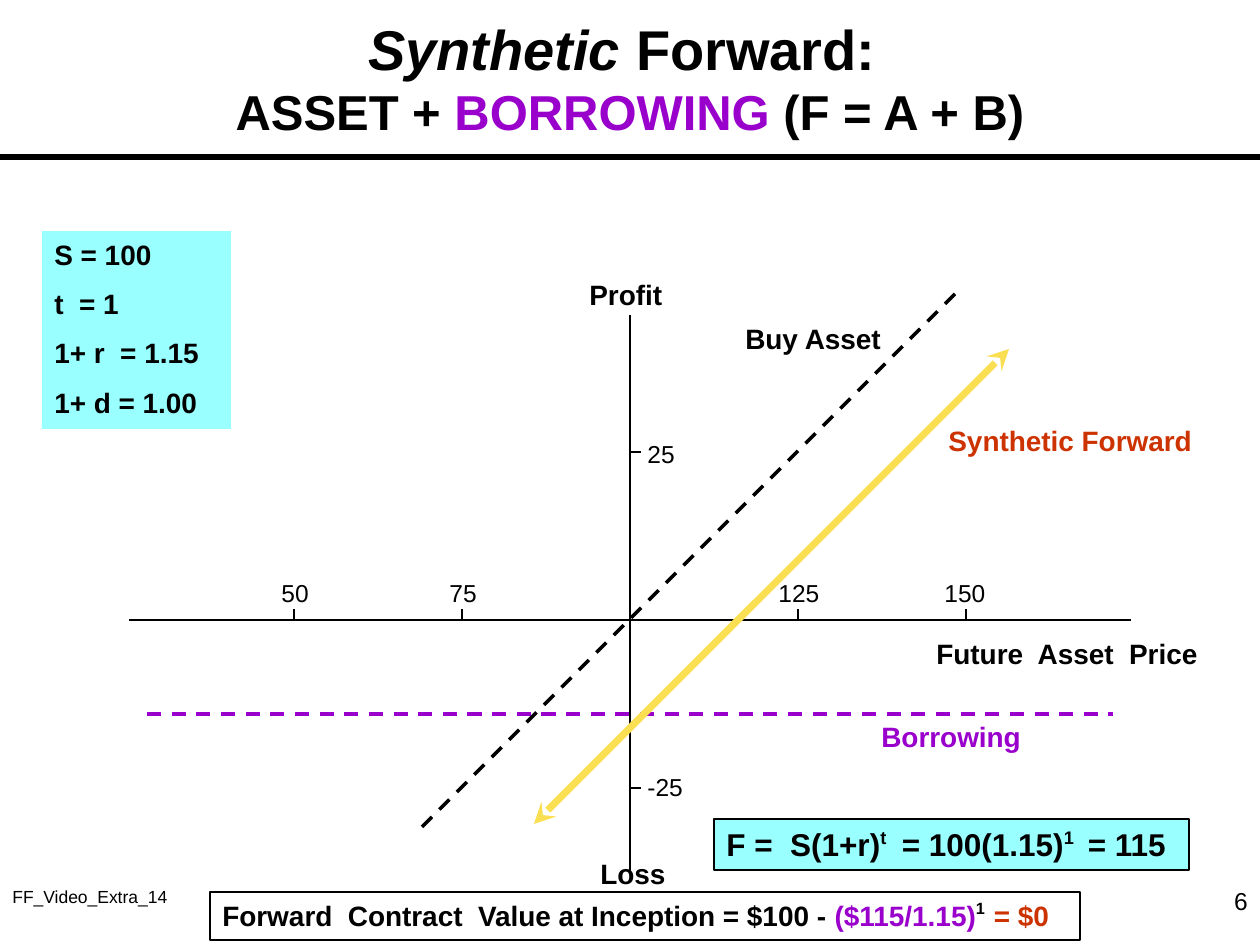
"""Build the synthetic forward payoff slide: asset plus borrowing."""
from lxml import etree
from pptx import Presentation
from pptx.dml.color import RGBColor
from pptx.enum.dml import MSO_LINE
from pptx.enum.shapes import MSO_CONNECTOR, MSO_SHAPE
from pptx.enum.text import MSO_ANCHOR, PP_ALIGN
from pptx.oxml.ns import qn
from pptx.util import Pt

PX = 914400 / 126
BLACK = RGBColor(0x00, 0x00, 0x00)
WHITE = RGBColor(0xFF, 0xFF, 0xFF)
PURPLE = RGBColor(0x99, 0x00, 0xCC)
RED = RGBColor(0xCC, 0x33, 0x00)
YELLOW = RGBColor(0xFB, 0xDF, 0x53)
CYAN = RGBColor(0x99, 0xFF, 0xFF)
DASH = MSO_LINE.DASH
STRAIGHT = MSO_CONNECTOR.STRAIGHT
RECTANGLE = MSO_SHAPE.RECTANGLE
LEFT, CENTER, RIGHT = PP_ALIGN.LEFT, PP_ALIGN.CENTER, PP_ALIGN.RIGHT
TOP, MIDDLE = MSO_ANCHOR.TOP, MSO_ANCHOR.MIDDLE

prs = Presentation()
prs.slide_width, prs.slide_height = round(1260 * PX), round(945 * PX)
slide = prs.slides.add_slide(prs.slide_layouts[6])
shapes = slide.shapes


def add_text(paragraphs, box, size=16, bold=True, color=BLACK, align=LEFT,
             anchor=TOP, wrap=True, gap=0, fill=None, outline=None):
    """Place text; each paragraph is a string or a list of (text, format) runs."""
    place = [round(v * PX) for v in box]
    if fill is None:
        holder = shapes.add_textbox(*place)
    else:
        holder = shapes.add_shape(RECTANGLE, *place)
        holder.shadow.inherit = False
        holder.fill.solid()
        holder.fill.fore_color.rgb = fill
        if outline is None:
            holder.line.fill.background()
        else:
            holder.line.color.rgb = outline
            holder.line.width = Pt(0.75)
    frame = holder.text_frame
    frame.word_wrap = wrap
    frame.vertical_anchor = anchor
    for index, content in enumerate(paragraphs):
        paragraph = frame.paragraphs[0] if index == 0 else frame.add_paragraph()
        paragraph.alignment = align
        if index and gap:
            paragraph.space_before = Pt(gap)
        runs = [(content, {})] if isinstance(content, str) else content
        for words, style in runs:
            run = paragraph.add_run()
            run.text = words
            run.font.name = "Arial"
            run.font.size = Pt(style.get("size", size))
            run.font.bold = bold
            run.font.italic = style.get("italic", False)
            run.font.color.rgb = style.get("color", color)
            if "raised" in style:
                run._r.get_or_add_rPr().set("baseline", "40000")


def add_line(start, end, width=1, color=BLACK, dash=None, arrow=None):
    """Draw a straight line, with the same arrowhead on both ends if given."""
    line = shapes.add_connector(STRAIGHT, *[round(v * PX) for v in (*start, *end)])
    line.line.color.rgb = color
    line.line.width = Pt(width)
    if dash is not None:
        line.line.dash_style = dash
    if arrow:
        outline = line.line._get_or_add_ln()
        for tag in ("a:headEnd", "a:tailEnd"):
            etree.SubElement(outline, qn(tag), type=arrow)
    etree.SubElement(line._element.spPr, qn("a:effectLst"))


add_line((0, 157), (1260, 157), width=3)
add_text(["FF_Video_Extra_14"], (0, 880, 400, 65), size=10, bold=False)
add_text(["6"], (966, 880, 294, 65), size=14, bold=False, align=RIGHT)
add_text([[("Synthetic", {"italic": True}), ("  Forward: ".replace("  ", " "), {})],
          [("ASSET + ", {"size": 28}),
           ("BORROWING ", {"size": 28, "color": PURPLE}),
           ("(F = A + B)", {"size": 28})]],
         (63, 38, 1134, 79), size=32, align=CENTER, anchor=MIDDLE)

origin_x, origin_y, tick_step, tick_length = 630, 620, 168, 11
add_line((129, origin_y), (1131, origin_y))
add_line((origin_x, 872), (origin_x, 315))
for steps, price, label_x in ((-2, "50", 269), (-1, "75", 437),
                              (1, "125", 766), (2, "150", 932)):
    tick_x = origin_x + steps * tick_step
    add_line((tick_x, origin_y), (tick_x, origin_y - tick_length))
    add_text([price], (label_x, 572, 105, 42), size=14, bold=False)
for steps, profit, label_y in ((-1, "25", 433), (1, "-25", 766)):
    tick_y = origin_y + steps * tick_step
    add_line((origin_x, tick_y), (origin_x + tick_length, tick_y))
    add_text([profit], (635, label_y, 84, 42), size=14, bold=False)

add_line((147, 714), (1113, 714), width=2, color=PURPLE, dash=DASH)
add_line((955, 294), (420, 829), width=2, dash=DASH)
add_line((1009, 349), (534, 824), width=4, color=YELLOW, arrow="stealth")

for label, box, color in (
        ("Future  Asset  Price", (924, 630, 325, 47), BLACK),
        ("Borrowing", (869, 713, 165, 47), PURPLE),
        ("Buy Asset", (733, 315, 163, 47), BLACK),
        ("Synthetic Forward", (936, 417, 270, 47), RED),
        ("Loss", (588, 850, 92, 47), BLACK),
        ("Profit", (577, 271, 103, 47), BLACK)):
    add_text([label], box, color=color, wrap=False)

add_text(["S = 100", "t  = 1", "1+ r  = 1.15", "1+ d = 1.00"],
         (42, 231, 189, 198), gap=9, fill=CYAN)
add_text([[("Forward  Contract  Value at Inception = $100 - ", {}),
           ("($115/1.15)", {"color": PURPLE}),
           ("1  ", {"raised": True}),
           ("= $0", {"color": RED})]],
         (210, 892, 870, 48), fill=WHITE, outline=BLACK)
add_text([[("F =  S(1+r)", {}), ("t   ", {"raised": True}),
           ("= 100(1.15)", {}), ("1 ", {"raised": True}), (" = 115", {})]],
         (714, 819, 475, 51), size=18, wrap=False, fill=CYAN, outline=BLACK)

prs.save("out.pptx")
